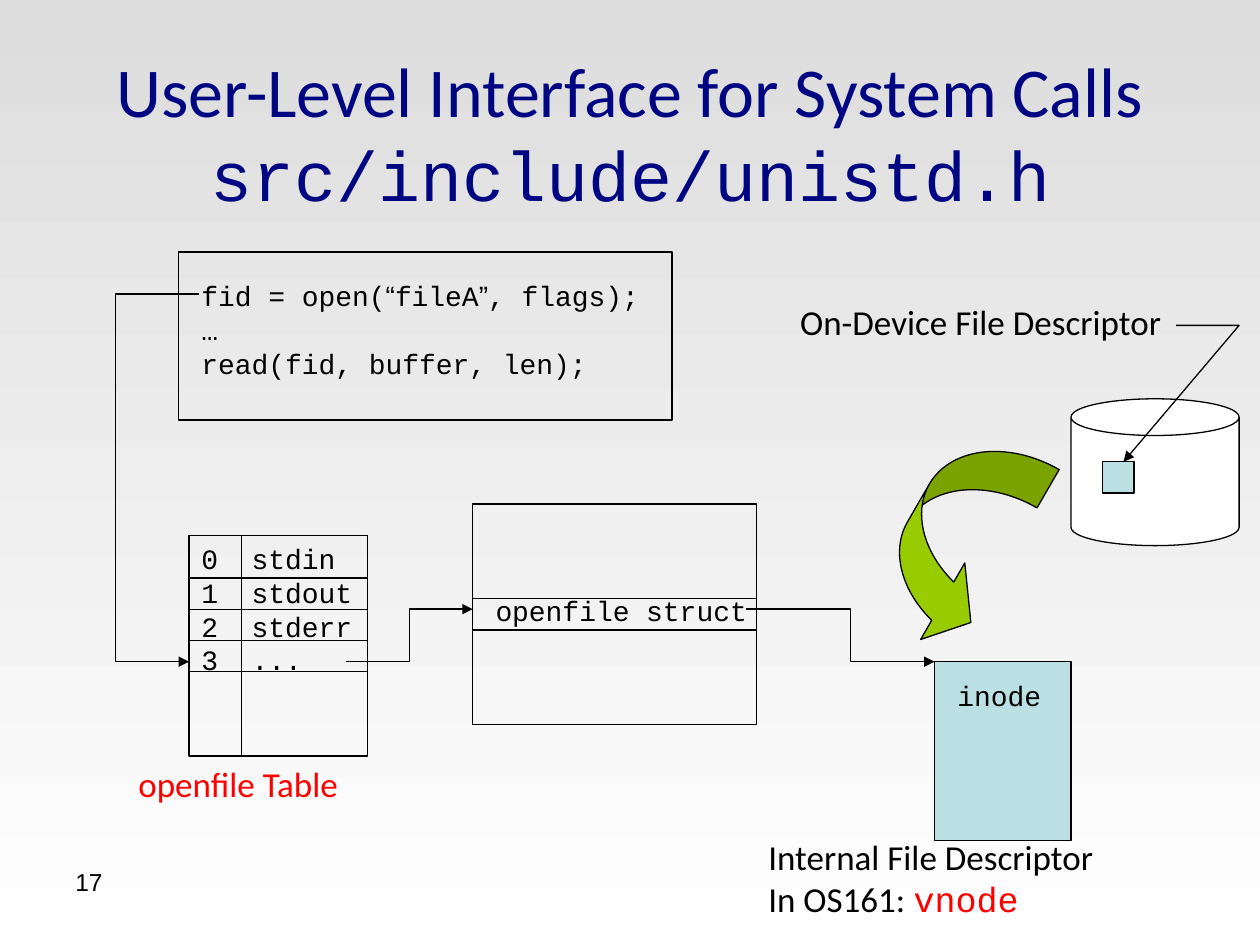
from lxml.etree import SubElement
from pptx import Presentation
from pptx.dml.color import RGBColor
from pptx.enum.shapes import MSO_CONNECTOR, MSO_SHAPE
from pptx.enum.text import MSO_ANCHOR, MSO_AUTO_SIZE, PP_ALIGN
from pptx.oxml.ns import qn
from pptx.util import Cm, Pt

COLORS = {"navy": "000681", "black": "000000", "red": "FF0000", "white": "FFFFFF",
          "grey": "DDDDDD", "aqua": "BBE0E3", "green": "99CC00"}
SANS, MONO, ARIAL = "Calibri", "Courier New", "Arial"

# Content: lengths in cm; a run is (text, font, colour), where None keeps the paragraph's
TITLE = ("User-Level Interface for System Calls", "src/include/unistd.h")
CODE = [
    [("fid = open(", None, None), ("“", ARIAL, None), ("fileA", None, None),
     ("”", ARIAL, None), (", flags);", None, None)],
    "…",
    "read(fid, buffer, len);",
]
DESCRIPTORS = ["0  stdin", "1  stdout", "2  stderr", "3  ..."]
INTERNAL = ["Internal File Descriptor",
            [("In OS161: ", None, None), ("vnode", MONO, "red")]]

# (left, top, width, height), paragraphs, size, font, colour
LABELS = [
    ((3.81, 5.5, 9.68, 2.29), CODE, 16, MONO, "black"),
    ((3.81, 10.8, 3.56, 2.97), DESCRIPTORS, 16, MONO, "black"),
    ((2.54, 15.24, 4.62, 1.12), ["openfile Table"], 20, SANS, "red"),
    ((9.74, 11.85, 5.64, 0.94), ["openfile struct"], 16, MONO, "black"),
    ((19.05, 13.55, 2.21, 0.94), ["inode"], 16, MONO, "black"),
    ((15.24, 16.72, 7.14, 1.96), INTERNAL, 20, SANS, "black"),
    ((15.88, 5.93, 8.03, 1.09), ["On-Device File Descriptor"], 20, SANS, "black"),
    ((1.27, 17.36, 5.93, 1.32), ["17"], 14, ARIAL, "black"),
]

# Preset, (left, top, width, height), fill, rotation, adjustments
TABLE = (3.81, 10.8, 3.6, 4.44)
RECT = MSO_SHAPE.RECTANGLE
SHAPES = [
    (RECT, (3.6, 5.08, 9.95, 3.39), None, 0, ()),
    (RECT, TABLE, None, 0, ()),
    (RECT, (9.53, 10.16, 5.72, 4.44), None, 0, ()),
    (RECT, (9.53, 12.07, 5.72, 0.63), None, 0, ()),
    (RECT, (18.84, 13.34, 2.75, 3.6), "aqua", 0, ()),
    (MSO_SHAPE.CAN, (21.59, 8.04, 3.39, 2.96), "white", 0, (0.25,)),
    (MSO_SHAPE.CURVED_RIGHT_ARROW, (18.26, 8.64, 2.12, 4.45), "green", 30,
     (0.42, 0.84, 0.333)),
    (RECT, (22.23, 9.31, 0.63, 0.63), "aqua", 0, ()),
]

# Corner points, arrowhead at the last one
ARROWS = [
    [(6.98, 13.34), (8.26, 13.34), (8.26, 12.28), (9.53, 12.28)],
    [(15.03, 12.28), (17.15, 12.28), (17.15, 13.34), (18.84, 13.34)],
    [(4.02, 5.93), (2.33, 5.93), (2.33, 13.34), (3.81, 13.34)],
    [(23.71, 6.56), (24.98, 6.56), (22.65, 9.31)],
]


def rgb(name):
    return RGBColor.from_string(COLORS[name])


def style_font(font, name=None, color=None, size=None):
    if name:
        font.name = name
    if color:
        font.color.rgb = rgb(color)
    if size:
        font.size = Pt(size)


def outline(sp):
    sp.line.color.rgb = rgb("black")
    sp.line.width = Pt(0.75)


def add_label(box, paragraphs, size, font, color):
    tf = s.shapes.add_textbox(*map(Cm, box)).text_frame
    tf.word_wrap = False
    tf.auto_size = MSO_AUTO_SIZE.SHAPE_TO_FIT_TEXT
    for i, runs in enumerate(paragraphs):
        p = tf.add_paragraph() if i else tf.paragraphs[0]
        style_font(p.font, font, color, size)
        for text, *change in [(runs,)] if isinstance(runs, str) else runs:
            r = p.add_run()
            r.text = text
            style_font(r.font, *change)


def add_block(preset, box, fill, rotation, adjustments):
    sp = s.shapes.add_shape(preset, *map(Cm, box))
    sp.shadow.inherit = False
    sp.rotation = rotation
    for i, value in enumerate(adjustments):
        sp.adjustments[i] = value
    if fill:
        sp.fill.solid()
        sp.fill.fore_color.rgb = rgb(fill)
    else:
        sp.fill.background()
    outline(sp)


def add_rule(x1, y1, x2, y2):
    line = s.shapes.add_connector(MSO_CONNECTOR.STRAIGHT, *map(Cm, (x1, y1, x2, y2)))
    outline(line)
    SubElement(line._element.spPr, qn("a:effectLst"))


def add_arrow(points):
    start, *rest = [(Cm(x), Cm(y)) for x, y in points]
    builder = s.shapes.build_freeform(*start)
    builder.add_line_segments(rest, close=False)
    sp = builder.convert_to_shape()
    sp.shadow.inherit = False
    sp.fill.background()
    outline(sp)
    SubElement(sp.line._get_or_add_ln(), qn("a:tailEnd"), type="triangle")


prs = Presentation()
prs.slide_width, prs.slide_height = Cm(25.4), Cm(19.05)
s = prs.slides.add_slide(prs.slide_layouts[5])

# Background, grey at the top
bg = s.background.fill
bg.gradient()
bg.gradient_angle = 270
for stop, name in zip(bg.gradient_stops, ("grey", "white")):
    stop.color.rgb = rgb(name)

# Title
title = s.shapes.title
title.left, title.top, title.width, title.height = map(Cm, (1.27, 1.07, 22.86, 3.18))
title.text_frame.vertical_anchor = MSO_ANCHOR.MIDDLE
p = title.text_frame.paragraphs[0]
p.alignment = PP_ALIGN.CENTER
style_font(p.font, SANS, "navy", 40)
p.add_run().text = TITLE[0]
p.add_line_break()
r = p.add_run()
r.text = TITLE[1]
r.font.name = MONO

# Diagram blocks
for block in SHAPES:
    add_block(*block)

# Rules of the openfile table
left, top, width, height = TABLE
for row in range(4):
    y = top + 0.85 + row * 0.63
    add_rule(left, y, left + width, y)
add_rule(left + 1.06, top, left + 1.06, top + height)

# Arrows and text
for points in ARROWS:
    add_arrow(points)
for label in LABELS:
    add_label(*label)

prs.save("out.pptx")
